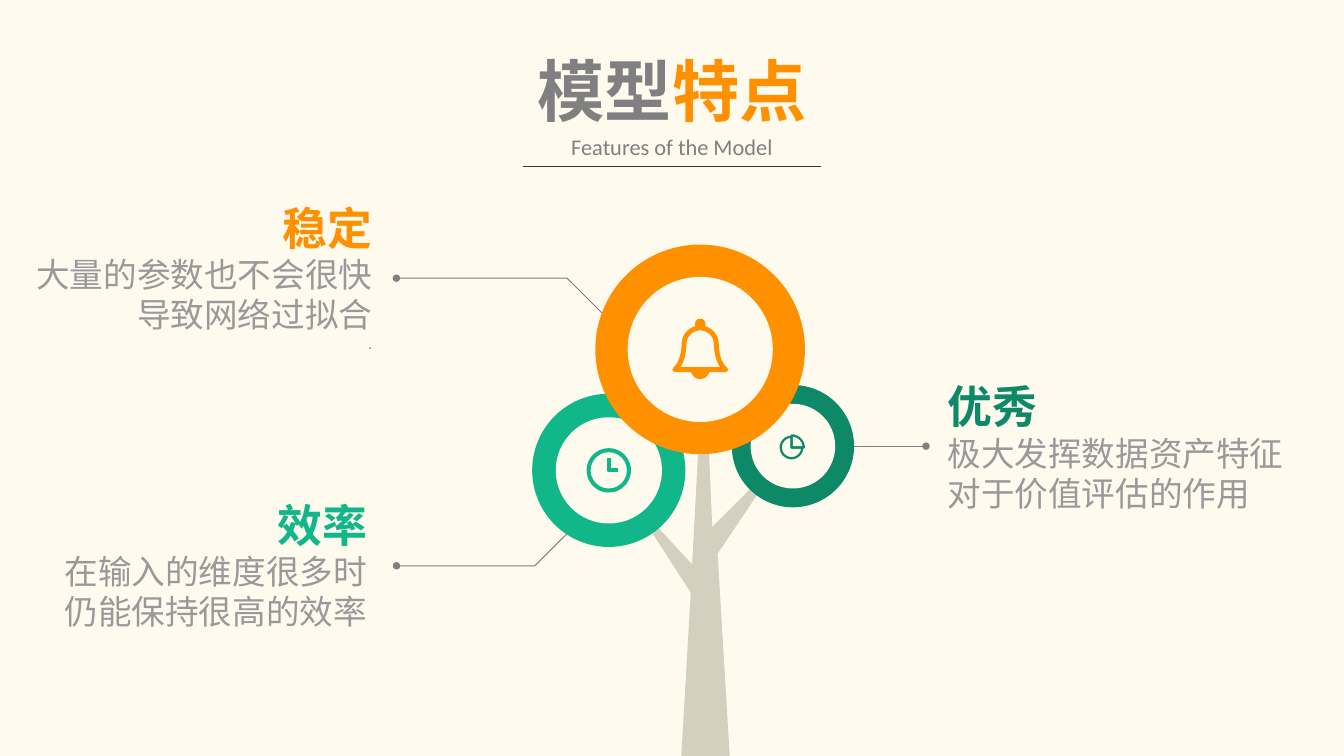
import math

from lxml import etree
from pptx import Presentation
from pptx.dml.color import RGBColor
from pptx.enum.shapes import MSO_CONNECTOR, MSO_SHAPE
from pptx.enum.text import MSO_ANCHOR, MSO_AUTO_SIZE, PP_ALIGN
from pptx.oxml.ns import qn
from pptx.util import Inches, Pt

LEFT, CENTER, RIGHT = PP_ALIGN.LEFT, PP_ALIGN.CENTER, PP_ALIGN.RIGHT
OVAL, DONUT = MSO_SHAPE.OVAL, MSO_SHAPE.DONUT
CJK, LATIN = "Noto Sans CJK SC", "Calibri"
WIDTH = 10
HEIGHT = WIDTH * 9 / 16
LINE_HEIGHT = 1.2
COLORS = {
    "cream": "FEFAEE", "orange": "FF9101", "mint": "12B789", "green": "0E8967",
    "gray": "808080", "light": "999999", "dark": "333333", "trunk": "2E2403",
}

TITLE = [("模型", "gray"), ("特点", "orange")]
SUBTITLE = "Features of the Model"
FEATURES = [  # heading, description, footnote, colour, alignment, box
    ("稳定", "大量的参数也不会很快导致网络过拟合", ".", "orange", RIGHT,
     (0.25, 1.49, 2.52, 1.14)),
    ("效率", "在输入的维度很多时仍能保持很高的效率", "", "mint", RIGHT,
     (0.37, 3.7, 2.36, 1.01)),
    ("优秀", "极大发挥数据资产特征对于价值评估的作用", "", "green", LEFT,
     (7.05, 2.82, 2.52, 1.01)),
]
LEADERS = [
    [(4.52, 2.37), (4.22, 2.07), (2.95, 2.07)],
    [(4.26, 3.93), (3.98, 4.21), (2.95, 4.21)],
]
TRUNK = [(5.07, HEIGHT), (5.43, HEIGHT), (5.34, 4.12), (5.83, 3.39), (5.3, 3.92),
         (5.24, 2.53), (5.15, 4.2), (4.67, 3.68), (5.14, 4.41)]
CROWNS = [  # centre, outer and inner diameter, colour
    (5.9, 3.32, 0.91, 0.63, "green"),
    (4.53, 3.5, 1.14, 0.79, "mint"),
    (5.21, 2.6, 1.56, 1.08, "orange"),
]


def rgb(color):
    return RGBColor.from_string(COLORS[color])


def add_text(paragraph, text, size, color, font=CJK, bold=False, align=LEFT):
    """Append a run; give its paragraph a line height that follows the size."""
    properties = paragraph._p.get_or_add_pPr()
    if properties.find(qn("a:buNone")) is None:
        properties.set("marL", "0")
        properties.set("indent", "0")
        etree.SubElement(properties, qn("a:buNone"))
    paragraph.alignment = align
    paragraph.space_before = paragraph.space_after = Pt(0)
    paragraph.line_spacing = Pt(size * LINE_HEIGHT)
    run = paragraph.add_run()
    run.text = text
    run.font.size, run.font.bold, run.font.name = Pt(size), bold, font
    run.font.color.rgb = rgb(color)
    etree.SubElement(run._r.get_or_add_rPr(), qn("a:ea")).set("typeface", font)


def place(holder, box, wrap=True, insets=(0, 0)):
    holder.left, holder.top, holder.width, holder.height = map(Inches, box)
    frame = holder.text_frame
    frame.auto_size = MSO_AUTO_SIZE.NONE
    frame.word_wrap = wrap
    frame.vertical_anchor = MSO_ANCHOR.TOP
    frame.margin_left = frame.margin_right = Inches(insets[0])
    frame.margin_top = frame.margin_bottom = Inches(insets[1])
    return frame


def paint(shape, fill=None, line=None, width=0.5):
    shape.shadow.inherit = False
    if fill:
        shape.fill.solid()
        shape.fill.fore_color.rgb = rgb(fill)
    else:
        shape.fill.background()
    if line:
        shape.line.color.rgb = rgb(line)
        shape.line.width = Pt(width)
    else:
        shape.line.fill.background()
    return shape


def add_disc(slide, x, y, diameter, color, kind=OVAL):
    corner = Inches(x - diameter / 2), Inches(y - diameter / 2)
    shape = slide.shapes.add_shape(kind, *corner, Inches(diameter), Inches(diameter))
    return paint(shape, color)


def add_outline(slide, points, closed=True, **style):
    start, *rest = [(Inches(x), Inches(y)) for x, y in points]
    builder = slide.shapes.build_freeform(*start, scale=1.0)
    builder.add_line_segments(rest, close=closed)
    return paint(builder.convert_to_shape(), **style)


def add_rule(slide, start, end, color):
    rule = slide.shapes.add_connector(
        MSO_CONNECTOR.STRAIGHT, *map(Inches, start + end))
    rule.line.color.rgb = rgb(color)
    rule.line.width = Pt(0.5)
    etree.SubElement(rule._element.spPr, qn("a:effectLst"))
    return rule


def end_with_dot(shape):
    dot = etree.SubElement(shape.line._get_or_add_ln(), qn("a:tailEnd"))
    for key, value in [("type", "oval"), ("w", "sm"), ("len", "sm")]:
        dot.set(key, value)


def sector(x, y, radius, start, end):
    """Centre and arc points; angles in degrees, clockwise from the right."""
    angles = [math.radians(start + (end - start) * i / 24) for i in range(25)]
    return [(x, y)] + [(x + radius * math.cos(a), y + radius * math.sin(a))
                       for a in angles]


def curve(a, b, c, d, steps=12):
    """Points along a cubic Bezier curve."""
    weights = [((1 - t) ** 3, 3 * t * (1 - t) ** 2, 3 * t * t * (1 - t), t ** 3)
               for t in (i / steps for i in range(steps + 1))]
    return [tuple(sum(w * p[axis] for w, p in zip(row, (a, b, c, d)))
                  for axis in (0, 1)) for row in weights]


def add_bell(slide, x):
    half = (curve((0, 2.44), (0.06, 2.44), (0.12, 2.49), (0.12, 2.56))
            + curve((0.12, 2.56), (0.12, 2.56), (0.12, 2.7), (0.19, 2.75)))
    body = [(x + dx, y) for dx, y in half] + [(x - dx, y) for dx, y in half[::-1]]
    add_outline(slide, body, line="orange", width=2.6)
    add_disc(slide, x, 2.41, 0.08, "orange")
    add_outline(slide, sector(x, 2.75, 0.07, 0, 180), fill="orange")


def add_clock(slide, x, y):
    ring = add_disc(slide, x, y, 0.33, "mint", DONUT)
    ring.adjustments[0] = 0.09
    hands = [(x, y - 0.09), (x, y), (x + 0.07, y)]
    add_outline(slide, hands, closed=False, line="mint", width=2.2)


def add_pie(slide, x, y):
    for radius, start, end in [(0.08, 0, 270), (0.09, 270, 360)]:
        add_outline(slide, sector(x, y, radius, start, end), line="green", width=1.2)


def main():
    deck = Presentation()
    deck.slide_width, deck.slide_height = Inches(WIDTH), Inches(HEIGHT)
    slide = deck.slides.add_slide(deck.slide_layouts.get_by_name("Comparison"))
    slide.background.fill.solid()
    slide.background.fill.fore_color.rgb = rgb("cream")
    title, subtitle, *blocks = list(slide.placeholders)[:5]

    frame = place(title, (3.89, 0.32, 2.22, 0.71), False, (0.1, 0.05))
    for text, color in TITLE:
        add_text(frame.paragraphs[0], text, 36, color, bold=True, align=CENTER)
    frame = place(subtitle, (4.14, 0.94, 1.72, 0.3), False, (0.1, 0.05))
    add_text(frame.paragraphs[0], SUBTITLE, 12, "gray", font=LATIN, align=CENTER)
    add_rule(slide, (3.89, 1.24), (6.11, 1.24), "dark")

    for block, (heading, description, footnote, color, align, box) in zip(blocks, FEATURES):
        frame = place(block, box)
        add_text(frame.paragraphs[0], heading, 24, color, bold=True, align=align)
        add_text(frame.add_paragraph(), description, 18, "light", align=align)
        if footnote:
            add_text(frame.add_paragraph(), footnote, 8, "gray", font=LATIN, align=align)

    for leader in LEADERS:
        end_with_dot(add_outline(slide, leader, closed=False, line="gray"))
    end_with_dot(add_rule(slide, (6.29, 3.32), (6.89, 3.32), "gray"))

    trunk = add_outline(slide, TRUNK, fill="trunk")
    tint = trunk._element.spPr.find(qn("a:solidFill"))[0]
    etree.SubElement(tint, qn("a:alpha")).set("val", "20000")
    for x, y, outer, inner, color in CROWNS:
        add_disc(slide, x, y, outer, color)
        add_disc(slide, x, y, inner, "cream")
    add_pie(slide, 5.89, 3.33)
    add_bell(slide, 5.21)
    add_clock(slide, 4.53, 3.5)
    deck.save("out.pptx")


if __name__ == "__main__":
    main()
